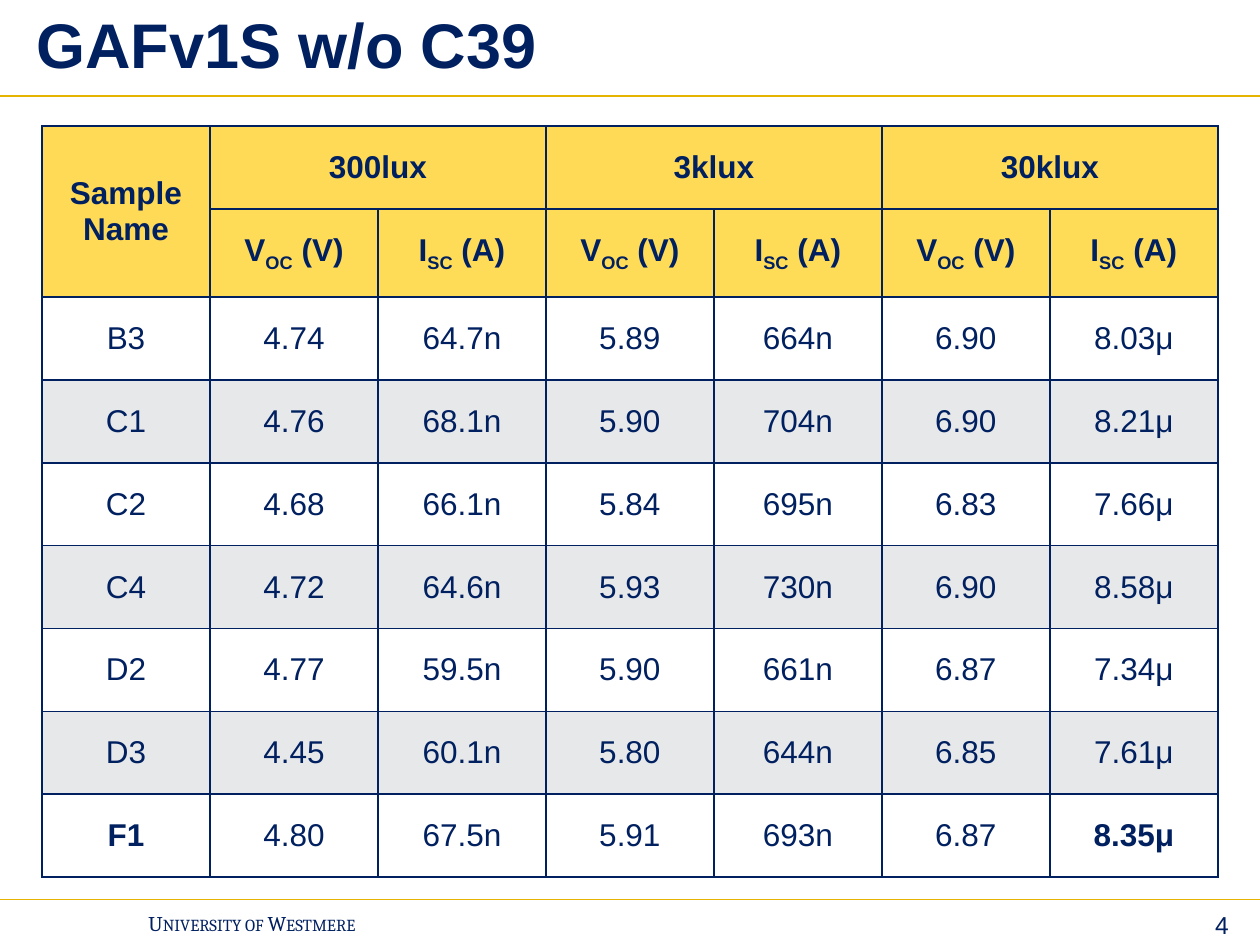
from lxml.etree import SubElement
from pptx import Presentation
from pptx.dml.color import RGBColor
from pptx.enum.shapes import MSO_CONNECTOR
from pptx.enum.text import MSO_ANCHOR, PP_ALIGN
from pptx.oxml.ns import qn
from pptx.util import Inches, Pt

NAVY, GOLD, WHITE, GREY = "002060", "E5B400", "FFFFFF", "E7E8EA"
HEADER_FILLS = ("FFDA56", "FFDC58")
LEVELS = ("300lux", "3klux", "30klux")
SAMPLES = (
    ("B3", "4.74", "64.7n", "5.89", "664n", "6.90", "8.03μ"),
    ("C1", "4.76", "68.1n", "5.90", "704n", "6.90", "8.21μ"),
    ("C2", "4.68", "66.1n", "5.84", "695n", "6.83", "7.66μ"),
    ("C4", "4.72", "64.6n", "5.93", "730n", "6.90", "8.58μ"),
    ("D2", "4.77", "59.5n", "5.90", "661n", "6.87", "7.34μ"),
    ("D3", "4.45", "60.1n", "5.80", "644n", "6.85", "7.61μ"),
    ("F1", "4.80", "67.5n", "5.91", "693n", "6.87", "8.35μ"),
)
BOLD_VALUES = ("F1", "8.35μ")


def color(value):
    """Turn a hex string into a colour."""
    return RGBColor.from_string(value)


def write(frame, text, size=18, font="Arial", bold=False, ink=NAVY,
          align=PP_ALIGN.LEFT, small_caps=False):
    """Fill a text frame; newlines part paragraphs, underscores enclose subscripts."""
    for index, line in enumerate(text.split("\n")):
        para = frame.paragraphs[0] if index == 0 else frame.add_paragraph()
        para.alignment = align
        for place, part in enumerate(line.split("_")):
            span = para.add_run()
            span.text = part
            span.font.size = Pt(size)
            span.font.name = font
            span.font.bold = bold
            span.font.color.rgb = color(ink)
            properties = span.font._element
            if place % 2:
                properties.set("baseline", "-25000")
            if small_caps:
                properties.set("cap", "small")


class SlideBuilder:
    """Draw on one slide with a grid of 30 columns and 30 rows."""

    def __init__(self, deck):
        """Add a blank page and measure its grid."""
        self.page = deck.slides.add_slide(deck.slide_layouts[6])
        self.column = deck.slide_width / 30
        self.row = deck.slide_height / 30

    def area(self, left, top, width, height):
        """Convert grid units into slide lengths."""
        return (round(left * self.column), round(top * self.row),
                round(width * self.column), round(height * self.row))

    def rule(self, row):
        """Draw a gold line across the page."""
        left, top, width, _ = self.area(0, row, 30, 0)
        line = self.page.shapes.add_connector(
            MSO_CONNECTOR.STRAIGHT, left, top, left + width, top)
        line.line.color.rgb = color(GOLD)
        line.line.width = Pt(1)
        SubElement(line._element.spPr, qn("a:effectLst"))

    def text(self, place, text, wrap=True, anchor=MSO_ANCHOR.TOP, **style):
        """Add a text box."""
        box = self.page.shapes.add_textbox(*self.area(*place))
        box.text_frame.word_wrap = wrap
        box.text_frame.vertical_anchor = anchor
        write(box.text_frame, text, **style)

    def table(self, place, rows, columns):
        """Add an even table without a banded style."""
        table = self.page.shapes.add_table(rows, columns, *self.area(*place)).table
        table.first_row = table.horz_banding = False
        return table

    def cell(self, cell, fill, text="", bold=False):
        """Border, fill and label one cell."""
        properties = cell._tc.get_or_add_tcPr()
        for side in ("lnL", "lnR", "lnT", "lnB"):
            border = SubElement(properties, qn(f"a:{side}"), w=str(Pt(1)))
            solid = SubElement(border, qn("a:solidFill"))
            SubElement(solid, qn("a:srgbClr"), val=NAVY)
        cell.fill.solid()
        cell.fill.fore_color.rgb = color(fill)
        cell.vertical_anchor = MSO_ANCHOR.MIDDLE
        if text:
            write(cell.text_frame, text, bold=bold, align=PP_ALIGN.CENTER)


def measurements(builder):
    """Build the table of sample measurements."""
    headers = (
        ["Sample\nName"] + [text for level in LEVELS for text in (level, "")],
        [""] + ["V_OC_ (V)", "I_SC_ (A)"] * len(LEVELS),
    )
    rows = headers + SAMPLES
    table = builder.table((1, 4, 28, 23.68), len(rows), len(rows[0]))
    fills = HEADER_FILLS + tuple((WHITE, GREY)[i % 2] for i in range(len(SAMPLES)))
    for row, (values, fill) in enumerate(zip(rows, fills)):
        for column, value in enumerate(values):
            bold = row < len(headers) or value in BOLD_VALUES
            builder.cell(table.cell(row, column), fill, value, bold)
    table.cell(0, 0).merge(table.cell(1, 0))
    for column in range(1, len(rows[0]), 2):
        table.cell(0, column).merge(table.cell(0, column + 1))


def main():
    """Build and save the deck."""
    deck = Presentation()
    deck.slide_width, deck.slide_height = Inches(10), Inches(7.5)
    builder = SlideBuilder(deck)
    for row in (3.04, 28.56):
        builder.rule(row)
    builder.text((27.51, 28.68, 2.04, 1.36), "4", size=14, align=PP_ALIGN.RIGHT)
    builder.text((3.24, 28.72, 6.27, 1.2), "University of Westmere", wrap=False,
                 size=12, font="Cambria", small_caps=True)
    builder.text((0.57, 0, 29.31, 2.72), "GAFv1S w/o C39", size=36, bold=True,
                 anchor=MSO_ANCHOR.MIDDLE)
    measurements(builder)
    deck.save("out.pptx")


if __name__ == "__main__":
    main()
